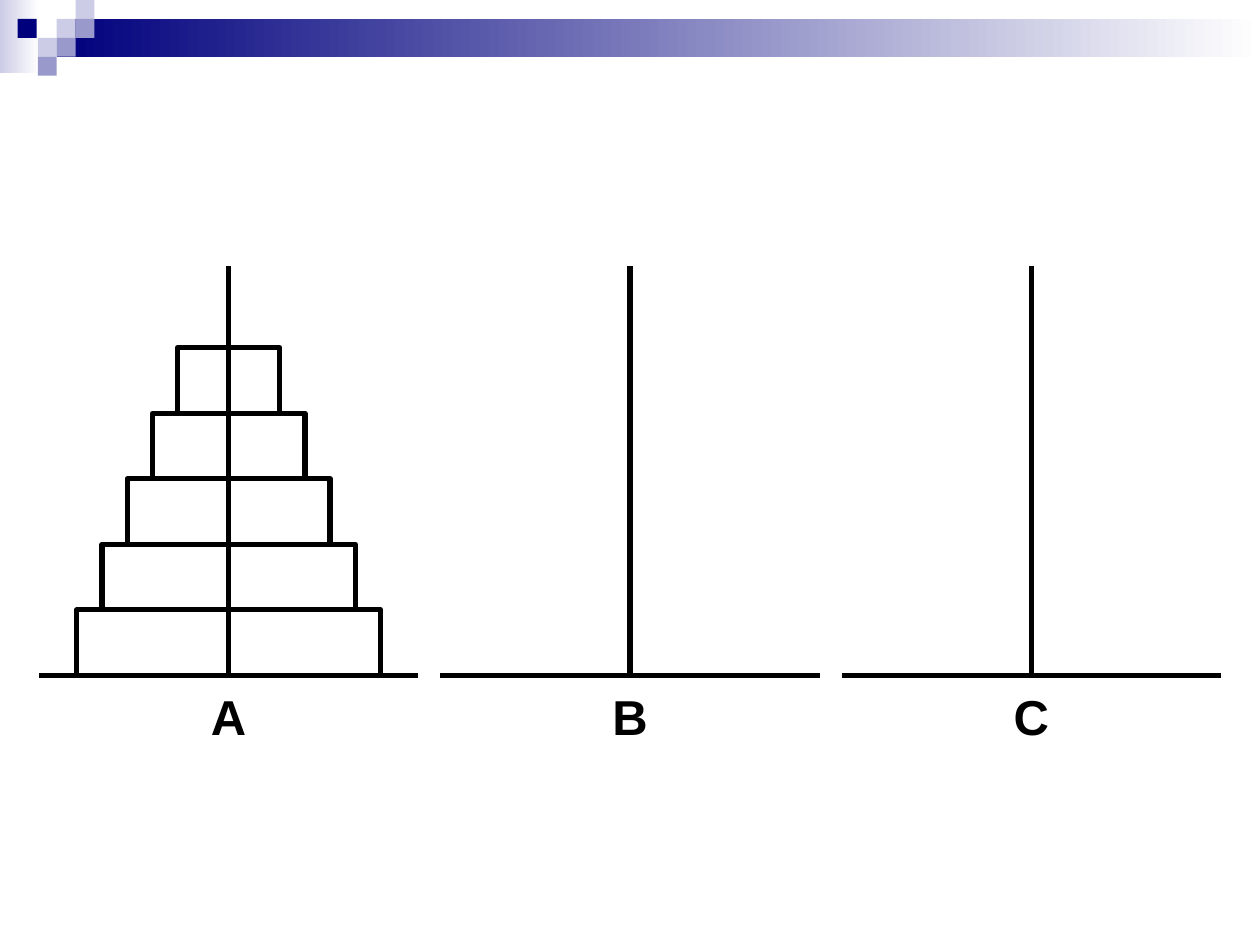
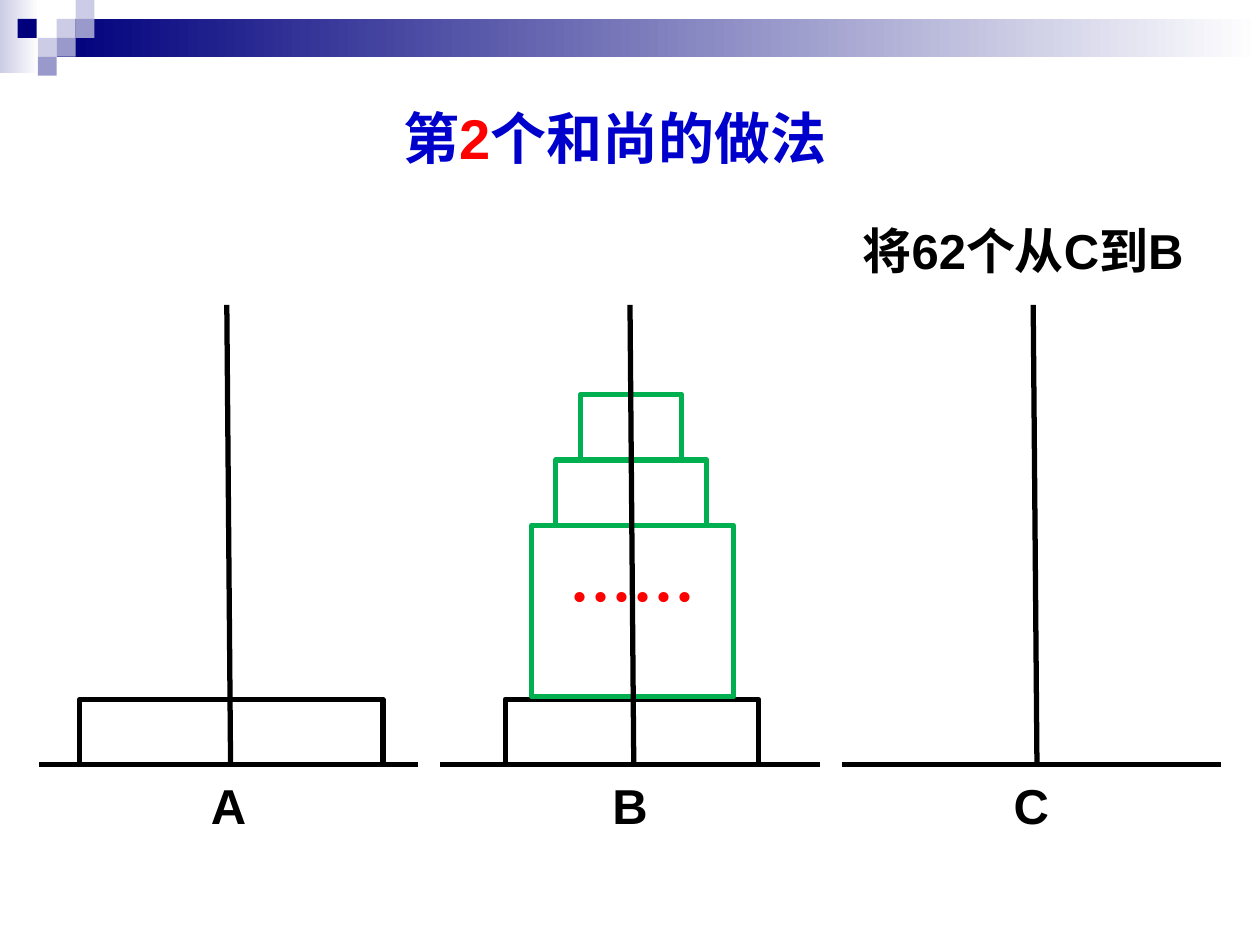
from lxml.etree import SubElement
from pptx import Presentation
from pptx.dml.color import RGBColor
from pptx.enum.shapes import MSO_CONNECTOR, MSO_SHAPE
from pptx.enum.text import MSO_ANCHOR, MSO_AUTO_SIZE, PP_ALIGN
from pptx.oxml.ns import qn
from pptx.util import Inches, Pt

BLACK = RGBColor(0x00, 0x00, 0x00)
WHITE = RGBColor(0xFF, 0xFF, 0xFF)
NAVY = RGBColor(0x00, 0x00, 0x7D)
PALE = RGBColor(0xCC, 0xCC, 0xE6)
MID = RGBColor(0x99, 0x99, 0xCC)
BLUE = RGBColor(0x00, 0x00, 0xCC)
RED = RGBColor(0xFF, 0x00, 0x00)
GREEN = RGBColor(0x00, 0xB0, 0x50)

LATIN = "Arial"
HAN = "Noto Sans CJK SC"
CELL = 0.15
TILES = [
    (0.45, 0.15, PALE), (0.6, 0, PALE), (0.6, 0.15, MID),
    (0.3, 0.3, PALE), (0.14, 0.15, NAVY), (0.45, 0.3, MID),
    (0.3, 0.45, MID),
]
PITCH = 3.185
DISK = 0.52
STEP = 0.2


class Deck:
    def __init__(self):
        self.file = Presentation()
        self.file.slide_width = Inches(10)
        self.file.slide_height = Inches(7.5)
        self.slide = None

    def start(self, layout):
        self.slide = self.file.slides.add_slide(self.file.slide_layouts[layout])
        self.fade(0, 0, 0.31, 0.58, PALE)
        self.fade(0.45, 0.15, 9.55, 0.3, NAVY)
        for x, y, color in TILES:
            tile = self.shape(MSO_SHAPE.RECTANGLE, x, y, CELL, CELL)
            tile.fill.solid()
            tile.fill.fore_color.rgb = color

    def shape(self, kind, x, y, wide, high):
        """Add a preset shape with no shadow and no line."""
        shape = self.slide.shapes.add_shape(
            kind, Inches(x), Inches(y), Inches(wide), Inches(high))
        shape.shadow.inherit = False
        shape.line.fill.background()
        return shape

    def fade(self, x, y, wide, high, color):
        """Add a band that fades to white on the right."""
        fill = self.shape(MSO_SHAPE.RECTANGLE, x, y, wide, high).fill
        fill.gradient()
        fill.gradient_angle = 0
        for stop, tint in zip(fill.gradient_stops, (color, WHITE)):
            stop.color.rgb = tint

    def disk(self, x, y, wide, high=DISK, color=BLACK):
        box = self.shape(MSO_SHAPE.FLOWCHART_PROCESS, x, y, wide, high)
        box.fill.background()
        box.line.color.rgb = color
        box.line.width = Pt(3)
        return box

    def line(self, x1, y1, x2, y2):
        line = self.slide.shapes.add_connector(
            MSO_CONNECTOR.STRAIGHT, Inches(x1), Inches(y1), Inches(x2), Inches(y2))
        line.line.color.rgb = BLACK
        line.line.width = Pt(3)
        SubElement(line._element.spPr, qn("a:effectLst"))

    def label(self, frame, parts, size, top, face=LATIN, wrap=True, lead=Pt(24)):
        """Fill a frame with one centred line made of (words, colour) parts."""
        frame.word_wrap = wrap
        frame.auto_size = MSO_AUTO_SIZE.NONE
        frame.vertical_anchor = MSO_ANCHOR.TOP
        frame.margin_left = frame.margin_right = Inches(0.1)
        frame.margin_top, frame.margin_bottom = Inches(top), Inches(0.05)
        para = frame.paragraphs[0]
        para.alignment = PP_ALIGN.CENTER
        para.line_spacing = lead
        para.space_before = Pt(0)
        font = para.font
        font.size, font.bold, font.name = Pt(size), True, face
        SubElement(font._element, qn("a:ea")).set("typeface", HAN)
        for words, color in parts:
            run = para.add_run()
            run.text = words
            run.font.color.rgb = color

    def text(self, words, x, y, wide, high, top=0.05):
        box = self.slide.shapes.add_textbox(
            Inches(x), Inches(y), Inches(wide), Inches(high))
        self.label(box.text_frame, [(words, BLACK)], 28, top)

    def title(self, parts, x, y, wide, high):
        box = self.slide.shapes.title
        box.left, box.top = Inches(x), Inches(y)
        box.width, box.height = Inches(wide), Inches(high)
        self.label(box.text_frame, parts, 32, 0.24)

    def bases(self, floor):
        """Draw the three ground lines with their letters."""
        for i, name in enumerate("ABC"):
            x = 0.31 + i * PITCH
            self.line(x, floor, x + 3.01, floor)
            self.text(name, x + 1.12, floor + 0.17, 0.77, 0.49)

    def poles(self, x, pitch, floor, top, lean=0):
        for i in range(3):
            self.line(x + i * pitch + lean, floor, x + i * pitch, top)


def tower(deck):
    floor = 5.36
    deck.start(6)
    deck.bases(floor)
    for i in range(5):
        deck.disk(0.61 + i * STEP, floor - (i + 1) * DISK, 2.41 - 2 * i * STEP)
    deck.poles(1.815, PITCH, floor, 2.11)


def second(deck):
    floor = 6.07
    deck.start(5)
    deck.title([("第", BLUE), ("2", RED), ("个和尚的做法", BLUE)],
               2.42, 0.78, 4.92, 0.7)
    deck.bases(floor)
    deck.disk(0.63, floor - DISK, 2.41)
    deck.disk(4.01, floor - DISK, 2.01)
    stack = deck.disk(4.22, 4.17, 1.6, 1.36, GREEN)
    deck.label(stack.text_frame, [("……", RED)], 36, 0.26, HAN, False, 1.0)
    for i in (1, 2):
        deck.disk(4.21 + i * STEP, 4.17 - i * DISK, 1.6 - 2 * i * STEP, color=GREEN)
    deck.text("将62个从C到B", 6.48, 1.64, 3.28, 0.7, 0.24)
    deck.poles(1.8, 3.2, floor, 2.42, 0.03)


def main():
    deck = Deck()
    tower(deck)
    second(deck)
    deck.file.save("out.pptx")


if __name__ == "__main__":
    main()
